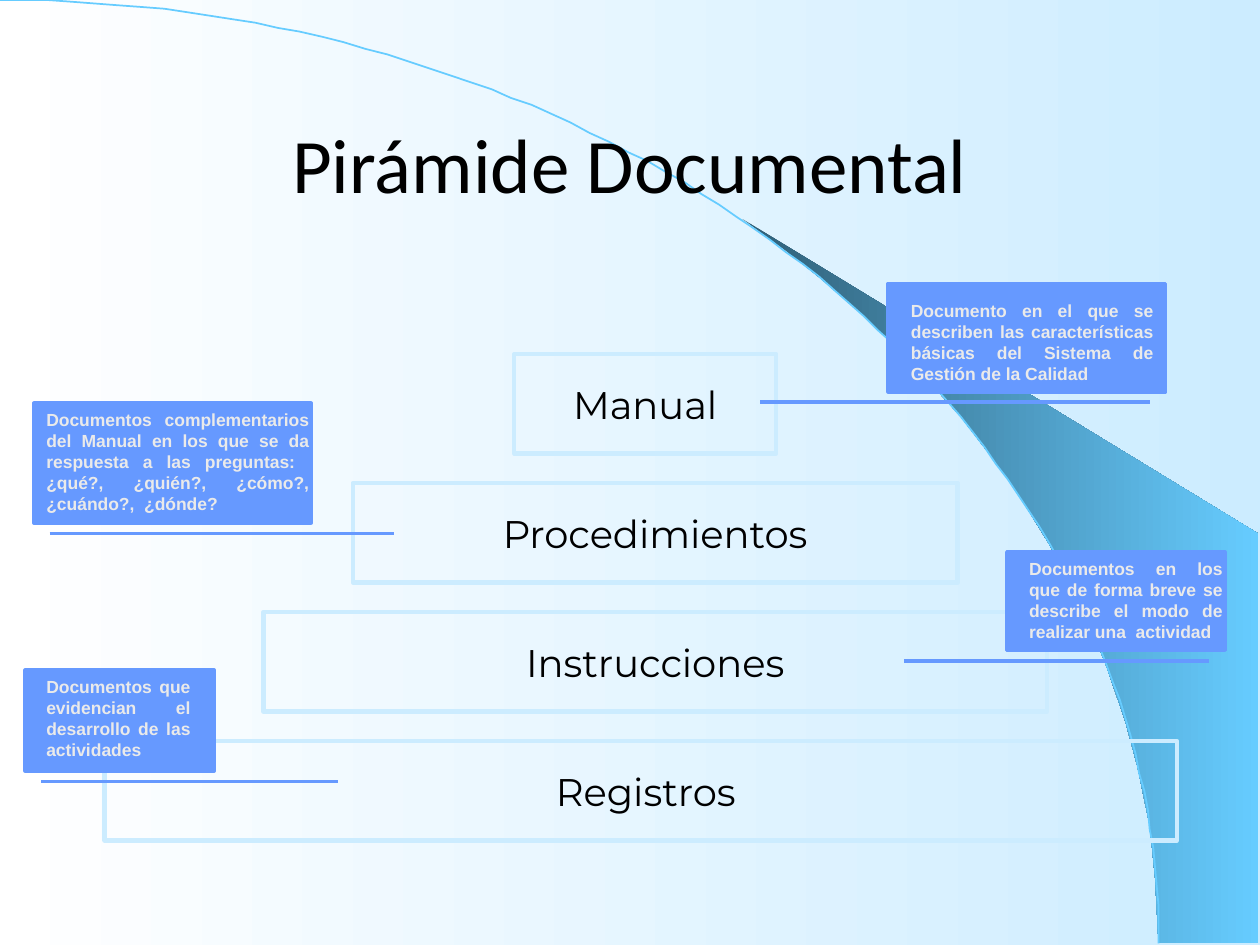
import pptx
import pptx.dml.color
import pptx.enum.shapes
import pptx.enum.text
import pptx.util

Pt = pptx.util.Pt
RGBColor = pptx.dml.color.RGBColor
SHAPE = pptx.enum.shapes.MSO_SHAPE
ALIGN = pptx.enum.text.PP_ALIGN
ANCHOR = pptx.enum.text.MSO_ANCHOR
AUTO_SIZE = pptx.enum.text.MSO_AUTO_SIZE

WHITE = RGBColor(0xFF, 0xFF, 0xFF)
BLACK = RGBColor(0x00, 0x00, 0x00)
PALE_BLUE = RGBColor(0xCC, 0xEC, 0xFF)
SKY_BLUE = RGBColor(0x66, 0xCC, 0xFF)
DEEP_BLUE = RGBColor(0x2F, 0x5E, 0x76)
CALLOUT_BLUE = RGBColor(0x66, 0x99, 0xFF)
LIGHT_GREY = RGBColor(0xEA, 0xEA, 0xEA)

TITLE_FONT = {"name": "Calibri", "size": Pt(44), "color": BLACK}
LEVEL_FONT = {"name": "Montserrat", "size": Pt(22), "color": BLACK}
NOTE_FONT = {"name": "Arial", "size": Pt(10), "bold": True, "color": LIGHT_GREY}


def write(shape, text, font_format, frame_format, align):
    frame = shape.text_frame
    for key, value in frame_format.items():
        setattr(frame, key, value)
    paragraph = frame.paragraphs[0]
    paragraph.alignment = align
    run = paragraph.add_run()
    run.text = text
    for key, value in font_format.items():
        if key == "color":
            run.font.color.rgb = value
        else:
            setattr(run.font, key, value)


def shade(fill, start, end):
    fill.gradient()
    fill.gradient_angle = 0
    for stop, color, position in zip(fill.gradient_stops, (start, end), (0, 1)):
        stop.color.rgb = color
        stop.position = position


presentation = pptx.Presentation()
presentation.slide_width, presentation.slide_height = Pt(720), Pt(540)
slide = presentation.slides.add_slide(presentation.slide_layouts[5])
shapes = slide.shapes

# Background
shade(slide.background.fill, WHITE, PALE_BLUE)

# Shaded wedge beside the arc, in inches from the slide corner
wedge_points = [
    (9.2, 7.48), (9.99, 7.49), (9.99, 4.23), (5.89, 1.73), (6.24, 1.99),
    (6.53, 2.22), (6.85, 2.5), (7.16, 2.8), (7.62, 3.3), (8.03, 3.84),
    (8.32, 4.31), (8.58, 4.79), (8.78, 5.28), (8.93, 5.72), (9.03, 6.09),
    (9.13, 6.56), (9.17, 6.96),
]
wedge_points = [(x * 72, y * 72) for x, y in wedge_points]
wedge_builder = shapes.build_freeform(*wedge_points[0], scale=Pt(1))
wedge_builder.add_line_segments(wedge_points[1:], close=True)
wedge = wedge_builder.convert_to_shape()
shade(wedge.fill, DEEP_BLUE, SKY_BLUE)
wedge.line.fill.background()
wedge.shadow.inherit = False

# Arc: a Bézier curve from the top left corner to the bottom edge
ARC_WIDTH, ARC_HEIGHT, STEPS = 662.4, 539.3, 80
arc_points = []
for step in range(1, STEPS + 1):
    t = step / STEPS
    x = ARC_WIDTH * (3 * t * (1 - t) ** 2 * 0.55 + 3 * t**2 * (1 - t) + t**3)
    y = ARC_HEIGHT * (3 * t**2 * (1 - t) * 0.45 + t**3)
    arc_points.append((x, y))
arc_builder = shapes.build_freeform(0, 0, scale=Pt(1))
arc_builder.add_line_segments(arc_points, close=False)
arc = arc_builder.convert_to_shape()
arc.fill.background()
arc.line.color.rgb = SKY_BLUE
arc.line.width = Pt(1)
arc.shadow.inherit = False

# Pyramid levels: text, left, width
levels = [
    ("Manual", 293.8, 149.8),
    ("Procedimientos", 201.6, 345.6),
    ("Instrucciones", 150.5, 447.8),
    (" Registros", 59.8, 612.7),
]
LEVEL_TOP, LEVEL_STEP, LEVEL_HEIGHT = 202.3, 73.7, 56.9
level_frame = {
    "word_wrap": True,
    "vertical_anchor": ANCHOR.MIDDLE,
    "auto_size": AUTO_SIZE.SHAPE_TO_FIT_TEXT,
    "margin_left": Pt(14.4),
    "margin_right": Pt(14.4),
    "margin_top": Pt(14.4),
    "margin_bottom": Pt(14.4),
}
for index, (text, left, width) in enumerate(levels):
    top = LEVEL_TOP + index * LEVEL_STEP
    level = shapes.add_shape(SHAPE.RECTANGLE, Pt(left), Pt(top), Pt(width), Pt(LEVEL_HEIGHT))
    level.fill.background()
    level.line.color.rgb = PALE_BLUE
    level.line.width = Pt(2.5)
    level.shadow.inherit = False
    write(level, text, LEVEL_FONT, level_frame, ALIGN.CENTER)

# Explanations: callout box, its line (y, from x, to x), text box, text
explanations = [
    ((507.6, 162, 158.4, 61.9), (1.097, 0.943, -0.461), (513.4, 167.8, 152.6, 55.4),
     "Documento en el que se describen las características básicas del Sistema de "
     "Gestión de la Calidad"),
    ((19.4, 230.4, 158.4, 68.4), (1.087, 0.057, 1.298), (19.4, 230.4, 164.2, 67),
     "Documentos complementarios del Manual en los que se da respuesta a las "
     "preguntas:  ¿qué?, ¿quién?, ¿cómo?, ¿cuándo?,  ¿dónde?"),
    ((575.3, 315.4, 124.6, 56.2), (1.107, 0.928, -0.473), (581, 315.4, 124.6, 55.4),
     "Documentos en los que de forma breve se describe el modo de realizar una  actividad"),
    ((14.4, 383, 108, 57.6), (1.104, 0.084, 1.657), (19.4, 383, 96.5, 55.4),
     "Documentos que evidencian el desarrollo de las actividades"),
]
note_frame = {"word_wrap": True, "auto_size": AUTO_SIZE.SHAPE_TO_FIT_TEXT}
for box, (line_y, line_start, line_end), note_box, text in explanations:
    callout = shapes.add_shape(SHAPE.LINE_CALLOUT_1, *map(Pt, box))
    for index, value in enumerate((line_y, line_start, line_y, line_end)):
        callout.adjustments[index] = value
    callout.fill.solid()
    callout.fill.fore_color.rgb = CALLOUT_BLUE
    callout.line.color.rgb = CALLOUT_BLUE
    callout.line.width = Pt(2)
    callout.shadow.inherit = False
    note = shapes.add_textbox(*map(Pt, note_box))
    write(note, text, NOTE_FONT, note_frame, ALIGN.JUSTIFY)

# Title, brought in front of the arc
title = shapes.title
title.left, title.top, title.width, title.height = map(Pt, (54, 48.2, 612, 90))
title_frame = {"word_wrap": True, "vertical_anchor": ANCHOR.MIDDLE}
write(title, "Pirámide Documental", TITLE_FONT, title_frame, ALIGN.CENTER)
title.element.getparent().append(title.element)

presentation.save("out.pptx")
